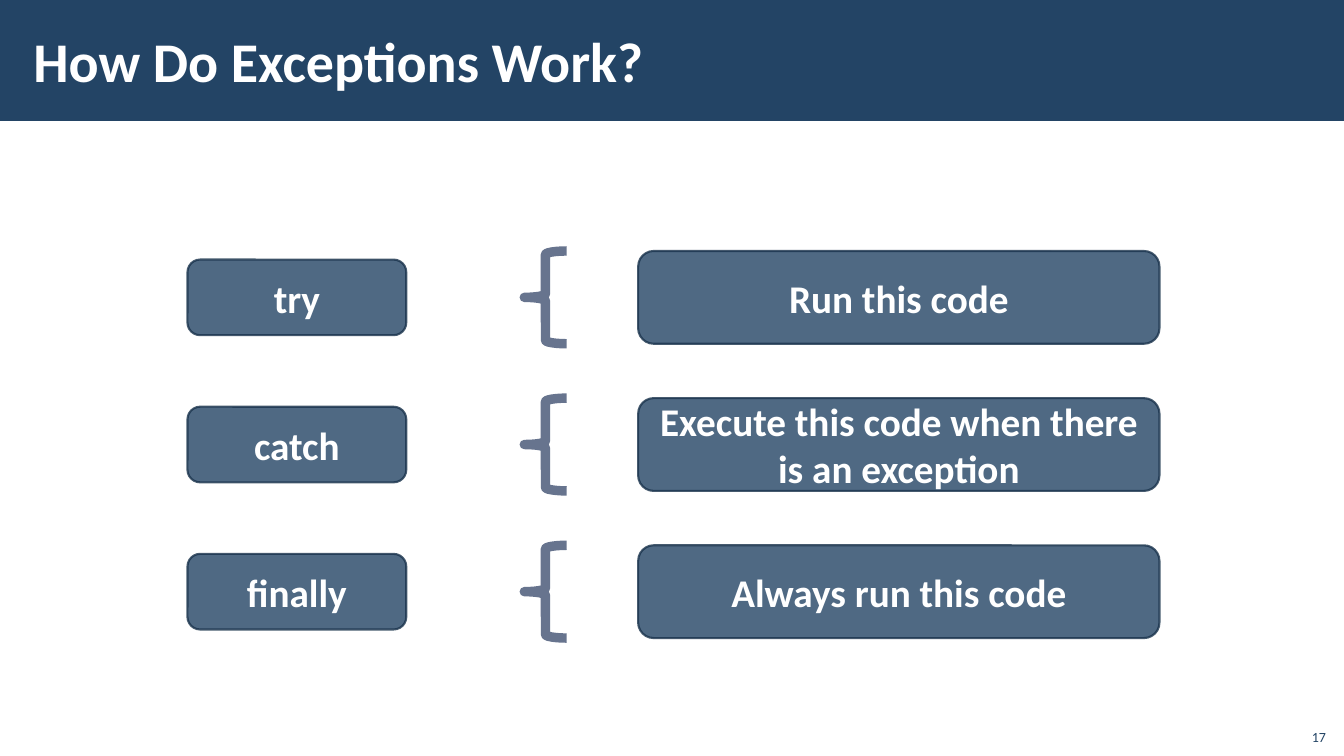
from lxml import etree
from pptx import Presentation
from pptx.dml.color import RGBColor
from pptx.enum.shapes import MSO_SHAPE as SHAPE
from pptx.enum.text import MSO_ANCHOR as ANCHOR, PP_ALIGN as ALIGN
from pptx.oxml.ns import qn
from pptx.util import Inches, Pt

NAVY, EDGE, BRACE, WHITE = "234465", "1A334C", "67748E", "FFFFFF"

# Row centres, and (left, width, height) of each column, in inches
FIRST_ROW, ROW_STEP = 2.95, 1.46
KEYWORD_COL = (1.86, 2.17, 0.75)
BRACE_COL = (5.2, 0.42, 0.92)
ACTION_COL = (6.33, 5.17, 0.92)

ROWS = [
    ("try", "Run this code"),
    ("catch", "Execute this code when there is an exception"),
    ("finally", "Always run this code"),
]


def rgb(color):
    return RGBColor.from_string(color)


def cell(column, row):
    """Box of a column's shape, centred on the given row."""
    left, width, height = column
    top = FIRST_ROW + row * ROW_STEP - height / 2
    return [Inches(v) for v in (left, top, width, height)]


def set_alpha(fill, percent):
    color = fill._xPr.find(qn("a:solidFill"))[0]
    etree.SubElement(color, qn("a:alpha"), val=str(percent * 1000))


def write(shape, text, size, color, align, anchor=ANCHOR.MIDDLE, bold=True):
    tf = shape.text_frame
    tf.word_wrap = True
    tf.vertical_anchor = anchor
    p = tf.paragraphs[0]
    p.text = text
    p.alignment = align
    p.font.name = "Calibri"
    p.font.size = Pt(size)
    p.font.bold = bold
    p.font.color.rgb = rgb(color)
    return tf


def add_box(s, box, text):
    sp = s.shapes.add_shape(SHAPE.ROUNDED_RECTANGLE, *box)
    sp.shadow.inherit = False
    sp.fill.solid()
    sp.fill.fore_color.rgb = rgb(NAVY)
    sp.line.color.rgb = rgb(EDGE)
    sp.line.width = Pt(1.5)
    for fill in (sp.fill, sp.line.fill):
        set_alpha(fill, 80)
    write(sp, text, 28, WHITE, ALIGN.CENTER)


def add_brace(s, box):
    sp = s.shapes.add_shape(SHAPE.LEFT_BRACE, *box)
    sp.shadow.inherit = False
    sp.fill.background()
    sp.line.color.rgb = rgb(BRACE)
    sp.line.width = Pt(6.75)


def add_header(s, width, text):
    banner = s.shapes.add_shape(SHAPE.RECTANGLE, 0, 0, width, Inches(1.2))
    banner.shadow.inherit = False
    banner.fill.solid()
    banner.fill.fore_color.rgb = rgb(NAVY)
    banner.line.fill.background()

    title = s.shapes.title
    title._element.addprevious(banner._element)  # banner behind the title
    title.left, title.top = Inches(0.21), Inches(0.11)
    title.width, title.height = Inches(10.63), Inches(0.97)
    tf = write(title, text, 40, WHITE, ALIGN.LEFT)
    tf.margin_left = tf.margin_right = Inches(0.12)
    tf.margin_top = tf.margin_bottom = Inches(0.04)


def add_page_number(s, number):
    box = s.shapes.add_textbox(*[Inches(v) for v in (12.85, 7.12, 0.4, 0.32)])
    write(box, number, 10, NAVY, ALIGN.RIGHT, ANCHOR.BOTTOM, bold=False)


def main():
    prs = Presentation()
    prs.slide_width, prs.slide_height = Inches(13.33), Inches(7.5)
    s = prs.slides.add_slide(prs.slide_layouts[5])

    # Header and page number
    add_header(s, prs.slide_width, "How Do Exceptions Work?")
    add_page_number(s, "17")

    # One row per keyword
    for row, (keyword, action) in enumerate(ROWS):
        add_box(s, cell(KEYWORD_COL, row), keyword)
        add_brace(s, cell(BRACE_COL, row))
        add_box(s, cell(ACTION_COL, row), action)

    prs.save("out.pptx")


if __name__ == "__main__":
    main()
